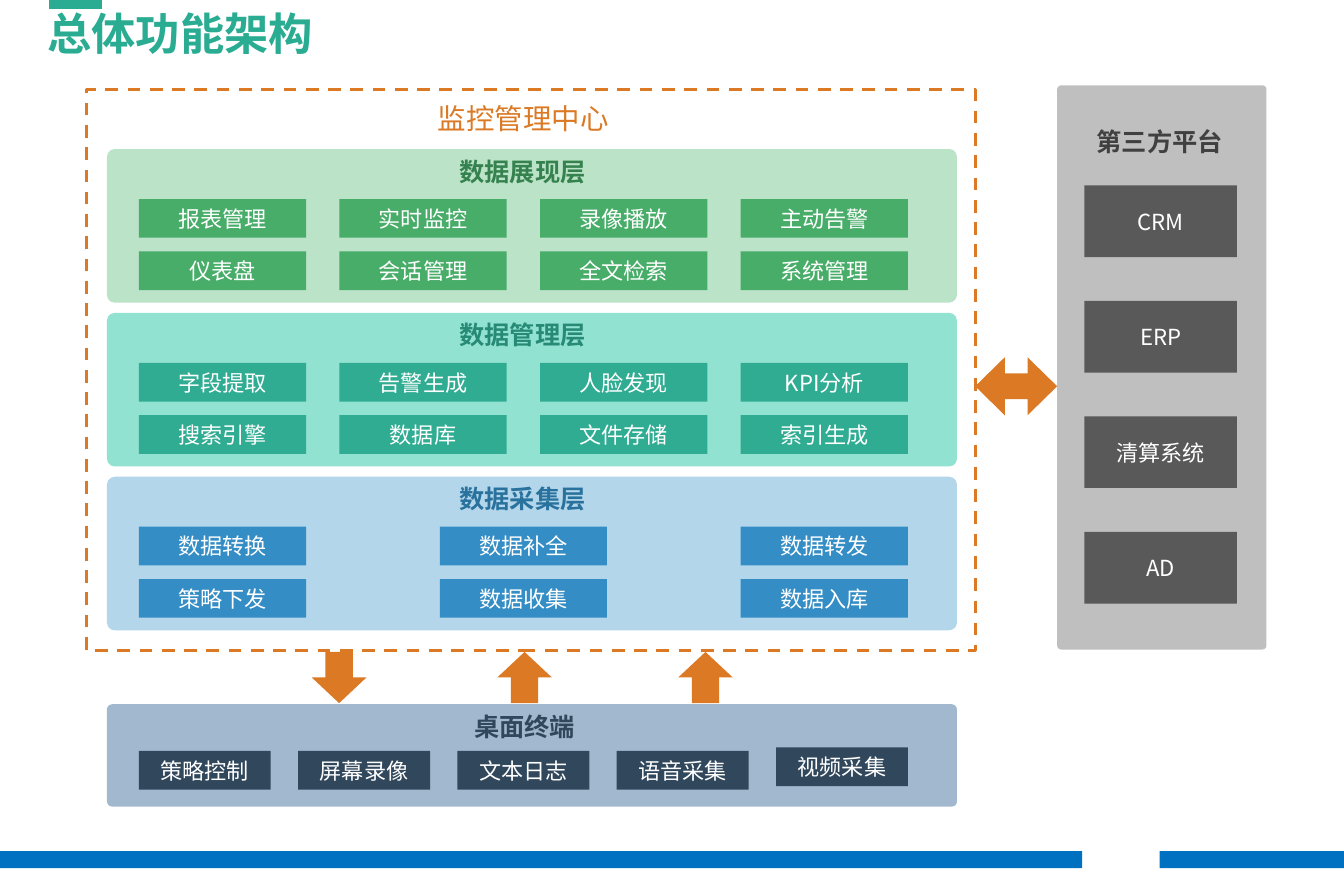
import pptx
import pptx.dml.color
import pptx.enum.dml
import pptx.enum.shapes
import pptx.enum.text
import pptx.oxml.ns
import pptx.util
from lxml import etree

# Grid: one cell is a tenth of an inch wide and high
CELL = pptx.util.Inches(0.1)
FONT = "Noto Sans CJK SC"
ORANGE, TEAL, BLUE, WHITE = "DB7924", "29AC91", "0070C0", "FFFFFF"
KINDS = pptx.enum.shapes.MSO_SHAPE

# Columns and rows shared by the layers and the terminal panel
PANEL_LEFT, PANEL_WIDTH = 9.4, 74.7
BLOCKS_LEFT, BLOCKS_RIGHT = 12.2, 79.8
BLOCK_HEIGHT = 3.4
LAYER_TOP, LAYER_STEP, LAYER_HEIGHT = 13.1, 14.4, 13.5
BLOCK_ROWS = (4.4, 9)

# Heading, panel colour, heading colour, block colour, rows of blocks
LAYERS = [
    ("数据展现层", "BBE3C8", "36824F", "48AD69",
     [["报表管理", "实时监控", "录像播放", "主动告警"],
      ["仪表盘", "会话管理", "全文检索", "系统管理"]]),
    ("数据管理层", "92E2D1", "268A75", "2FAC91",
     [["字段提取", "告警生成", "人脸发现", "KPI分析"],
      ["搜索引擎", "数据库", "文件存储", "索引生成"]]),
    ("数据采集层", "B3D6EB", "2A729E", "348DC5",
     [["数据转换", "数据补全", "数据转发"],
      ["策略下发", "数据收集", "数据入库"]]),
]
TERMINAL_BLOCKS = ["策略控制", "屏幕录像", "文本日志", "语音采集", "视频采集"]
PLATFORMS = ["CRM", "ERP", "清算系统", "AD"]


def color(hex_code):
    return pptx.dml.color.RGBColor.from_string(hex_code)


def cells(*lengths):
    return [round(length * CELL) for length in lengths]


def apply_formats(target, formats):
    for name, value in formats.items():
        setattr(target, name, value)


def write_text(frame, text, size, hex_code, bold=False):
    run = frame.paragraphs[0].add_run()
    run.text = text
    apply_formats(run.font, {"name": FONT, "size": pptx.util.Pt(size), "bold": bold})
    run.font.color.rgb = color(hex_code)
    # East Asian characters take their font from a separate element
    east_asian = etree.SubElement(run.font._element, pptx.oxml.ns.qn("a:ea"))
    east_asian.set("typeface", FONT)


def add_filled(slide, kind, area, fill, adjustments=()):
    shape = slide.shapes.add_shape(kind, *cells(*area))
    shape.shadow.inherit = False
    shape.fill.solid()
    shape.fill.fore_color.rgb = color(fill)
    shape.line.fill.background()
    for index, value in enumerate(adjustments):
        shape.adjustments[index] = value
    return shape


def add_heading(slide, text, area, size, hex_code, bold=True):
    frame = slide.shapes.add_textbox(*cells(*area)).text_frame
    frame.word_wrap = False
    write_text(frame, text, size, hex_code, bold)


def add_block(slide, text, area, fill):
    frame = add_filled(slide, KINDS.RECTANGLE, area, fill).text_frame
    apply_formats(frame, {"word_wrap": True,
                          "vertical_anchor": pptx.enum.text.MSO_ANCHOR.MIDDLE})
    frame.paragraphs[0].alignment = pptx.enum.text.PP_ALIGN.CENTER
    write_text(frame, text, 14, WHITE)


def add_block_row(slide, labels, top, width, fill, last_lift=0):
    step = (BLOCKS_RIGHT - BLOCKS_LEFT - width) / (len(labels) - 1)
    for index, label in enumerate(labels):
        lift = last_lift if index == len(labels) - 1 else 0
        area = (BLOCKS_LEFT + index * step, top - lift, width, BLOCK_HEIGHT)
        add_block(slide, label, area, fill)


def add_panel(slide, area, fill, corner=0.05):
    add_filled(slide, KINDS.ROUNDED_RECTANGLE, area, fill, [corner])


def add_dashed_frame(slide, area):
    frame = slide.shapes.add_shape(KINDS.RECTANGLE, *cells(*area))
    frame.shadow.inherit = False
    frame.fill.background()
    frame.line.color.rgb = color(ORANGE)
    apply_formats(frame.line, {"width": pptx.util.Pt(2),
                               "dash_style": pptx.enum.dml.MSO_LINE.DASH})


def add_page_frame(slide):
    for left, width in ((0, 95.1), (101.9, 16.2)):
        add_filled(slide, KINDS.RECTANGLE, (left, 74.8, width, 1.5), BLUE)
    add_filled(slide, KINDS.FLOWCHART_PROCESS, (4.3, 0, 4.7, 0.8), TEAL)
    add_heading(slide, "总体功能架构", (3.2, 0.1, 25.7, 5.7), 28, TEAL)


def add_monitoring_center(slide):
    add_dashed_frame(slide, (7.6, 7.9, 78.1, 49.3))
    add_heading(slide, "监控管理中心", (37.5, 8.4, 17.2, 4), 18, ORANGE, bold=False)
    for index, (heading, panel, heading_color, fill, rows) in enumerate(LAYERS):
        top = LAYER_TOP + index * LAYER_STEP
        add_panel(slide, (PANEL_LEFT, top, PANEL_WIDTH, LAYER_HEIGHT), panel)
        add_heading(slide, heading, (39.4, top + 0.1, 13.2, 3.7), 16, heading_color)
        for offset, labels in zip(BLOCK_ROWS, rows):
            add_block_row(slide, labels, top + offset, 14.7, fill)


def add_terminal(slide):
    add_panel(slide, (PANEL_LEFT, 61.9, PANEL_WIDTH, 9), "A2B8CE")
    add_heading(slide, "桌面终端", (40.7, 62, 11, 3.7), 16, "31475C")
    add_block_row(slide, TERMINAL_BLOCKS, 66, 11.6, "31475C", last_lift=0.3)


def add_platforms(slide):
    add_panel(slide, (92.9, 7.5, 18.4, 49.6), "BFBFBF", corner=0.02)
    add_heading(slide, "第三方平台", (95.4, 10.6, 13.2, 3.7), 16, "404040")
    for index, label in enumerate(PLATFORMS):
        add_block(slide, label, (95.3, 16.3 + index * 10.15, 13.4, 6.3), "595959")


def add_arrows(slide):
    add_filled(slide, KINDS.LEFT_RIGHT_ARROW, (85.7, 31.4, 7.2, 5.1), ORANGE,
               [0.44, 0.51])
    for kind, left in ((KINDS.DOWN_ARROW, 27.4), (KINDS.UP_ARROW, 43.7),
                       (KINDS.UP_ARROW, 59.6)):
        add_filled(slide, kind, (left, 57.3, 4.8, 4.5), ORANGE)


def main():
    presentation = pptx.Presentation()
    presentation.slide_width = pptx.util.Pt(850.38)
    presentation.slide_height = pptx.util.Pt(567)
    slide = presentation.slides.add_slide(presentation.slide_layouts[6])
    add_page_frame(slide)
    add_monitoring_center(slide)
    add_terminal(slide)
    add_platforms(slide)
    add_arrows(slide)
    presentation.save("out.pptx")


if __name__ == "__main__":
    main()
